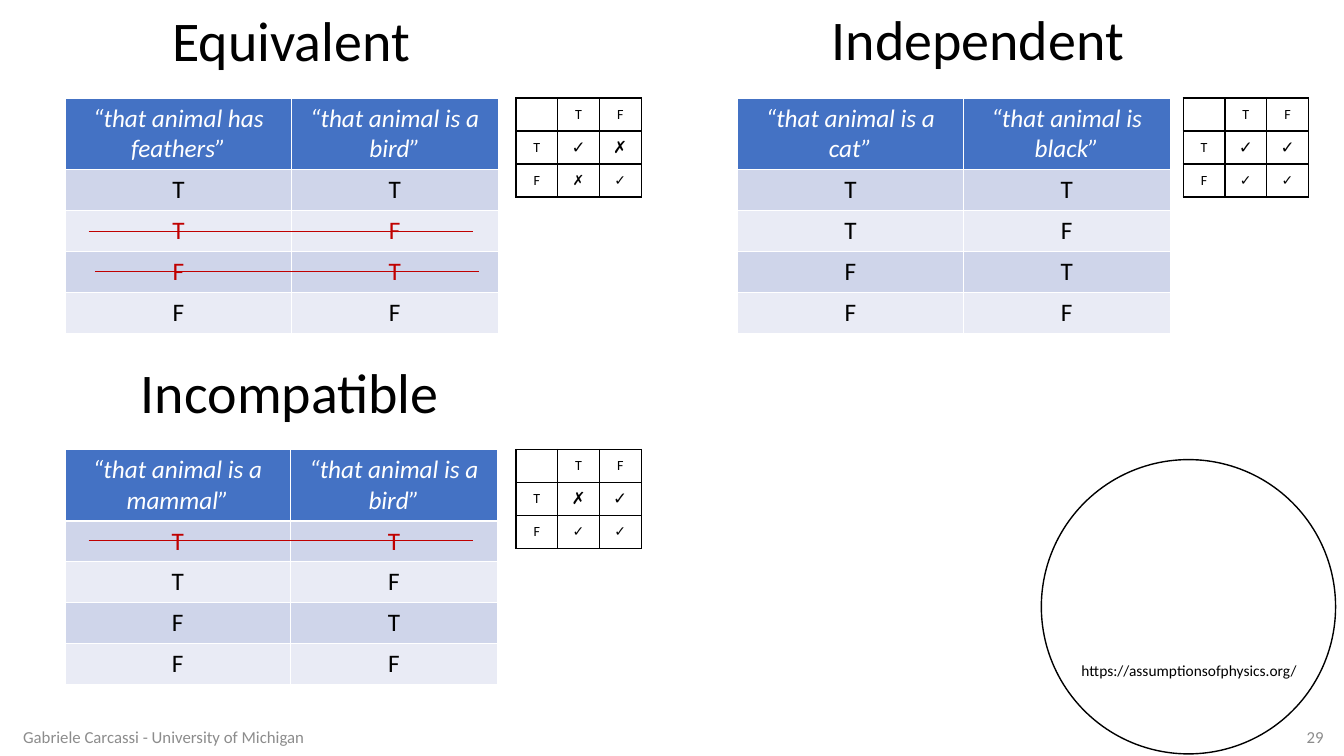
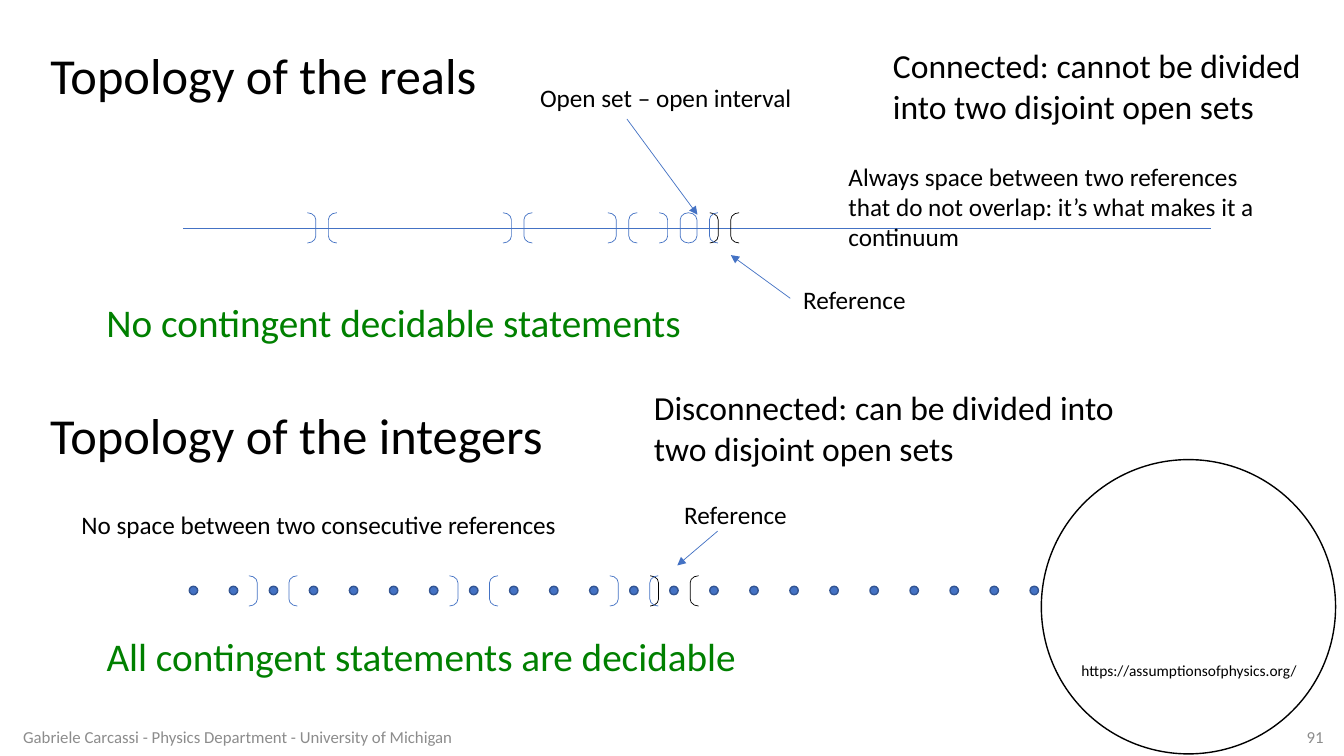
from dataclasses import dataclass

from lxml.etree import SubElement
from pptx import Presentation
from pptx.dml.color import RGBColor
from pptx.enum.shapes import MSO_CONNECTOR, MSO_SHAPE
from pptx.enum.text import MSO_ANCHOR, MSO_AUTO_SIZE, PP_ALIGN
from pptx.oxml.ns import qn
from pptx.shapes.autoshape import Shape
from pptx.slide import Slide
from pptx.table import Table, _Cell
from pptx.text.text import _Paragraph
from pptx.util import Pt


@dataclass(frozen=True)
class Theme:
    font: str = "Calibri"
    sign_font: str = "Arial"
    black: str = "000000"
    white: str = "FFFFFF"
    grey: str = "8C8C8C"
    blue: str = "4472C4"
    navy: str = "325491"
    red: str = "C00000"
    green: str = "008000"
    bands: tuple[str, str] = ("CFD5EA", "E9EBF5")
    panel: int = 40
    title: int = 36
    claim: int = 28
    lead: int = 24
    body: int = 18
    note: int = 12
    link: int = 11
    tiny: int = 10


THEME = Theme()


@dataclass(frozen=True)
class Label:
    text: str
    x: float
    y: float
    w: float
    h: float
    size: int = THEME.body
    color: str = THEME.black
    wrap: bool = False
    align: PP_ALIGN = PP_ALIGN.LEFT
    anchor: MSO_ANCHOR = MSO_ANCHOR.TOP


@dataclass(frozen=True)
class Panel:
    title: Label
    x: float
    y: float
    heads: tuple[str, str]
    barred: tuple[int, ...]
    grid_x: float
    signs: tuple[str, str]


@dataclass(frozen=True)
class Line:
    x1: float
    y1: float
    x2: float
    y2: float
    color: str = THEME.blue
    arrow: bool = False


PANELS = (
    Panel(Label("Equivalent", 116, 0, 186, 55.6, THEME.panel), 47, 70,
          ("“that animal has feathers”", "“that animal is a bird”"),
          (2, 3), 368.6, ("✓✗", "✗✓")),
    Panel(Label("Independent", 587, 0, 225, 55.6, THEME.panel), 527, 70,
          ("“that animal is a cat”", "“that animal is black”"),
          (), 845.2, ("✓✓", "✓✓")),
    Panel(Label("Incompatible", 93.6, 252, 230, 55.6, THEME.panel), 46.4, 321,
          ("“that animal is a mammal”", "“that animal is a bird”"),
          (1,), 368.6, ("✗✓", "✓✓")),
)
STRIKES = (
    Line(63.4, 165, 337.7, 165, THEME.red),
    Line(67.7, 193.7, 342, 193.7, THEME.red),
    Line(63.4, 386, 337.7, 386, THEME.red),
)
TRUTH = ("TT", "TF", "FT", "FF")

REALS = Label("Topology of the reals", 28.8, 28, 322, 51, THEME.title)
NOTES = (
    Label("Open set – open interval", 378.7, 55.5, 196.5, 29),
    Label("No contingent decidable statements", 69, 209.5, 429, 41,
          THEME.claim, THEME.green),
    Label("Topology of the integers", 28.8, 285, 369.4, 51, THEME.title),
    Label("Connected: cannot be divided into two disjoint open sets",
          630.7, 28.8, 322, 65.5, THEME.lead, wrap=True),
    Label("Reference", 566.6, 199.5, 88.5, 29),
    Label("Always space between two references that do not overlap: "
          "it’s what makes it a continuum", 599, 111.6, 309, 72.7, wrap=True),
    Label("Reference", 481.7, 353, 88.5, 29),
    Label("No space between two consecutive references",
          51, 360, 409, 29, wrap=True),
    Label("Disconnected: can be divided into two disjoint open sets",
          460, 273, 345.6, 65.5, THEME.lead, wrap=True),
    Label("All contingent statements are decidable", 69, 448, 468.7, 41,
          THEME.claim, THEME.green),
)
LINES = (
    Line(131, 162.9, 864.7, 162.9),
    Line(447.8, 85, 498.2, 153.4, arrow=True),
    Line(564.5, 213.1, 522, 182.2, arrow=True),
    Line(512.6, 379.4, 483.8, 403.9, arrow=True),
)


def rgb(code: str) -> RGBColor:
    return RGBColor.from_string(code)


def style(para: _Paragraph, size: int, color: str, align: PP_ALIGN,
          face: str = THEME.font, slant: bool = False) -> None:
    para.alignment = align
    font = para.font
    font.name, font.size = face, Pt(size)
    font.bold, font.italic = False, slant
    font.color.rgb = rgb(color)


def write(slide: Slide, label: Label, box: Shape | None = None) -> None:
    """Put a label in the given placeholder, or in a new text box."""
    place = [Pt(v) for v in (label.x, label.y, label.w, label.h)]
    if box is None:
        box = slide.shapes.add_textbox(*place)
    else:
        box.left, box.top, box.width, box.height = place
    frame = box.text_frame
    frame.text = label.text
    frame.word_wrap = label.wrap
    frame.auto_size = MSO_AUTO_SIZE.NONE
    frame.vertical_anchor = label.anchor
    style(frame.paragraphs[0], label.size, label.color, label.align)


def shape(slide: Slide, kind: MSO_SHAPE, x: float, y: float, w: float,
          h: float, line: str, width: float = 1,
          fill: str | None = None) -> Shape:
    item = slide.shapes.add_shape(kind, Pt(x), Pt(y), Pt(w), Pt(h))
    item.shadow.inherit = False
    if fill:
        item.fill.solid()
        item.fill.fore_color.rgb = rgb(fill)
    else:
        item.fill.background()
    item.line.color.rgb = rgb(line)
    item.line.width = Pt(width)
    return item


def rule(slide: Slide, line: Line) -> None:
    item = slide.shapes.add_connector(
        MSO_CONNECTOR.STRAIGHT,
        *(Pt(v) for v in (line.x1, line.y1, line.x2, line.y2)))
    item.line.color.rgb = rgb(line.color)
    item.line.width = Pt(0.5)
    props = item.element.spPr
    if line.arrow:
        SubElement(props.find(qn("a:ln")), qn("a:tailEnd"), type="triangle")
    SubElement(props, qn("a:effectLst"))


def gap(slide: Slide, x: float, y: float, step: float, color: str) -> None:
    """Draw the end of one interval and the start of the next."""
    for kind, left in ((MSO_SHAPE.RIGHT_BRACKET, x),
                       (MSO_SHAPE.LEFT_BRACKET, x + step)):
        item = shape(slide, kind, left, y, 6, 21.6, color, 0.5)
        item.adjustments[0] = 0.83


def table(slide: Slide, x: float, y: float, cols: list[float],
          rows: list[float]) -> Table:
    grid = slide.shapes.add_table(len(rows), len(cols), Pt(x), Pt(y),
                                  Pt(sum(cols)), Pt(sum(rows))).table
    for col, width in zip(grid.columns, cols):
        col.width = Pt(width)
    for row, height in zip(grid.rows, rows):
        row.height = Pt(height)
    return grid


def fill(cell: _Cell, text: str, back: str, size: int, color: str,
         face: str = THEME.font, slant: bool = False) -> None:
    cell.text = text
    cell.fill.solid()
    cell.fill.fore_color.rgb = rgb(back)
    style(cell.text_frame.paragraphs[0], size, color, PP_ALIGN.CENTER,
          face, slant)


def frame(cell: _Cell) -> None:
    """Give a cell thin black borders, no margins and centred text."""
    cell.vertical_anchor = MSO_ANCHOR.MIDDLE
    cell.margin_left = cell.margin_right = 0
    cell.margin_top = cell.margin_bottom = 0
    props = cell._tc.get_or_add_tcPr()
    for spot, side in enumerate(("lnL", "lnR", "lnT", "lnB")):
        edge = SubElement(props, qn(f"a:{side}"), w=str(Pt(1)))
        paint = SubElement(edge, qn("a:solidFill"))
        SubElement(paint, qn("a:srgbClr"), val=THEME.black)
        props.insert(spot, edge)


def truth(slide: Slide, panel: Panel) -> None:
    grid = table(slide, panel.x, panel.y, [161, 148], [50] + [28.8] * 4)
    for c, head in enumerate(panel.heads):
        fill(grid.cell(0, c), head, THEME.blue, THEME.body, THEME.white,
             slant=True)
    for r, pair in enumerate(TRUTH, 1):
        color = THEME.red if r in panel.barred else THEME.black
        for c, value in enumerate(pair):
            fill(grid.cell(r, c), value, THEME.bands[(r - 1) % 2],
                 THEME.body, color)


def matrix(slide: Slide, panel: Panel) -> None:
    grid = table(slide, panel.grid_x, panel.y, [29.8] * 3, [23.6] * 3)
    rows = ("", "T", "F"), ("T", *panel.signs[0]), ("F", *panel.signs[1])
    for r, row in enumerate(rows):
        for c, value in enumerate(row):
            sign = r > 0 and c > 0
            cell = grid.cell(r, c)
            fill(cell, value, THEME.white,
                 THEME.note if sign and r == 1 else THEME.tiny, THEME.black,
                 THEME.sign_font if sign else THEME.font)
            frame(cell)


def start(deck: Presentation, title: Label, foot: str, page: str) -> Slide:
    """Add a slide with its title, footer, number and link circle."""
    slide = deck.slides.add_slide(deck.slide_layouts[5])
    write(slide, title, slide.shapes.title)
    shape(slide, MSO_SHAPE.OVAL, 743.8, 328.3, 210.2, 210.2, THEME.black)
    write(slide, Label("https://assumptionsofphysics.org/", 765.4, 468.7,
                       169.2, 20.6, THEME.link))
    write(slide, Label(foot, 9.4, 517, 470, 19, THEME.note, THEME.grey,
                       True, anchor=MSO_ANCHOR.MIDDLE))
    write(slide, Label(page, 908.6, 517.5, 44, 18, THEME.note, THEME.grey,
                       True, PP_ALIGN.RIGHT, MSO_ANCHOR.MIDDLE))
    return slide


def logic(deck: Presentation) -> None:
    slide = start(deck, PANELS[0].title,
                  "Gabriele Carcassi - University of Michigan", "29")
    for panel in PANELS:
        truth(slide, panel)
        matrix(slide, panel)
    for panel in PANELS[1:]:
        write(slide, panel.title)
    for line in STRIKES:
        rule(slide, line)


def space(deck: Presentation) -> None:
    slide = start(
        deck, REALS,
        "Gabriele Carcassi - Physics Department - University of Michigan",
        "91")
    for line in LINES:
        rule(slide, line)
    for i in range(22):
        shape(slide, MSO_SHAPE.OVAL, 135.2 + 28.6 * i, 418.8, 6, 6,
              THEME.navy, fill=THEME.blue)
    gap(slide, 507, 152, 15, THEME.black)
    for x in (359.3, 219.6, 434.2, 470.9, 491.8):
        gap(slide, x, 152, 15, THEME.blue)
    gap(slide, 464.4, 411.3, 28.6, THEME.black)
    for x in (177.8, 321.1, 435.6):
        gap(slide, x, 411.3, 28.6, THEME.blue)
    for note in NOTES:
        write(slide, note)


def main() -> None:
    deck = Presentation()
    deck.slide_width, deck.slide_height = Pt(960), Pt(540)
    logic(deck)
    space(deck)
    deck.save("out.pptx")


if __name__ == "__main__":
    main()
